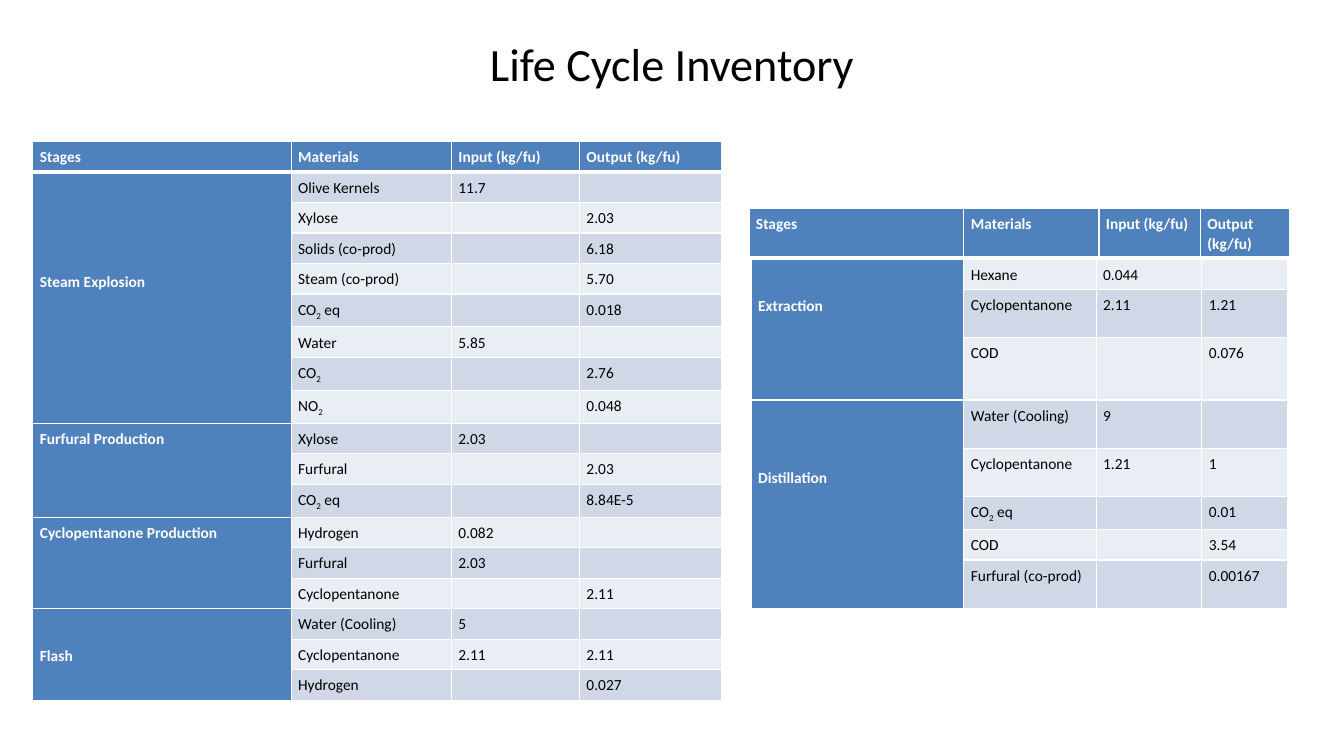
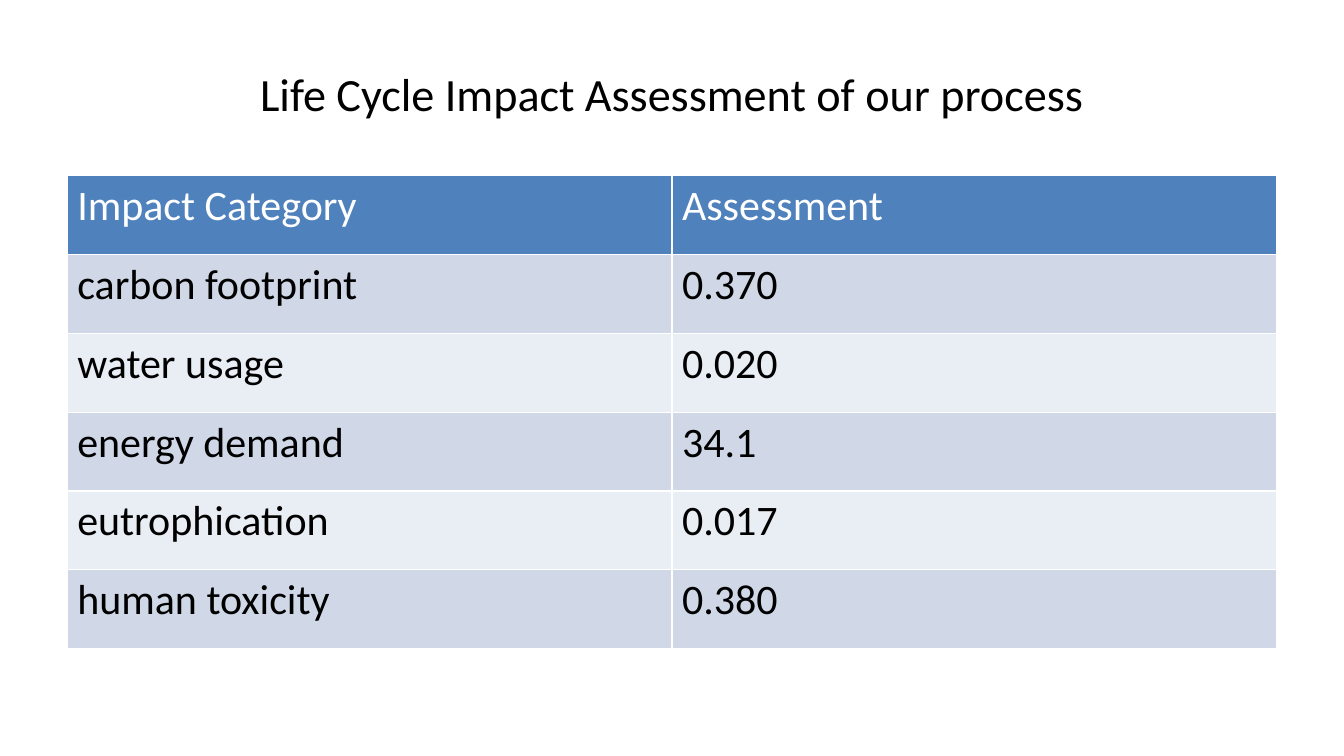
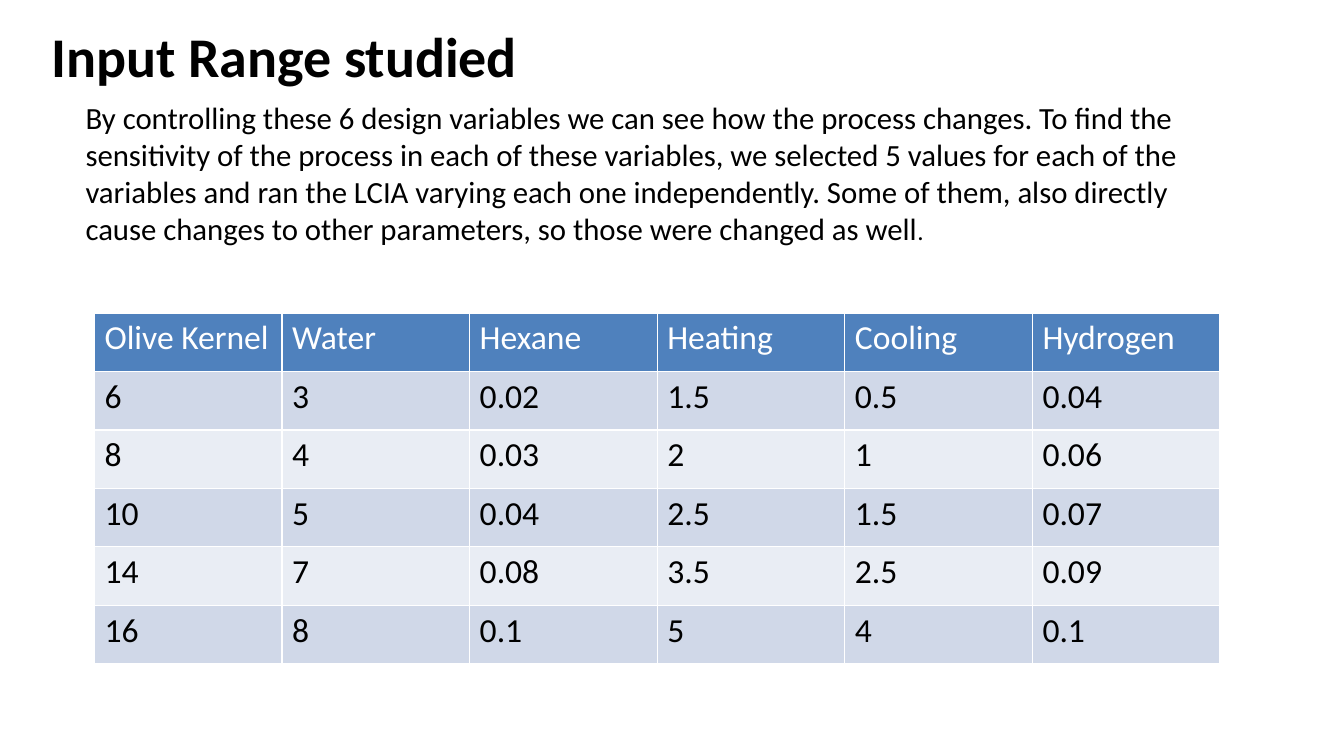
from dataclasses import dataclass

from lxml.etree import SubElement
from pptx import Presentation
from pptx.dml.color import RGBColor
from pptx.enum.text import MSO_ANCHOR, PP_ALIGN
from pptx.oxml.ns import qn
from pptx.slide import Slide
from pptx.table import Table, _Cell
from pptx.text.text import TextFrame
from pptx.util import Pt

FONT = "Calibri"
BLACK = RGBColor(0x00, 0x00, 0x00)
WHITE = RGBColor(0xFF, 0xFF, 0xFF)
BLUE = RGBColor(0x4F, 0x81, 0xBD)
BANDS = (RGBColor(0xD0, 0xD8, 0xE8), RGBColor(0xE9, 0xED, 0xF4))

THIN, THICK = 0.96, 3
ROW, SUBSCRIPT_ROW = 21.8, 23.5
STAGE_LINE = 22.4


@dataclass(frozen=True)
class Style:
    size: float
    margin_x: float = 7.2
    bold_heads: bool = False
    line_spacing: float = 1.0
    header_rule: float = THIN


@dataclass(frozen=True)
class Grid:
    left: float
    top: float
    widths: list[float]
    heights: list[float]
    rows: list[tuple[str, ...]]
    style: Style
    header: bool = True
    stages: bool = False
    first_band: int = 0


INVENTORY = Style(11, margin_x=5, bold_heads=True, line_spacing=1.07, header_rule=THICK)

HEADINGS = ("Stages", "Materials", "Input (kg/fu)", "Output (kg/fu)")

# A row with an empty first cell belongs to the stage above it.
PRODUCTION = [
    HEADINGS,
    ("Steam Explosion", "Olive Kernels", "11.7", ""),
    ("", "Xylose", "", "2.03"),
    ("", "Solids (co-prod)", "", "6.18"),
    ("", "Steam (co-prod)", "", "5.70"),
    ("", "CO₂ eq", "", "0.018"),
    ("", "Water", "5.85", ""),
    ("", "CO₂", "", "2.76"),
    ("", "NO₂", "", "0.048"),
    ("Furfural Production", "Xylose", "2.03", ""),
    ("", "Furfural", "", "2.03"),
    ("", "CO₂ eq", "", "8.84E-5"),
    ("Cyclopentanone Production", "Hydrogen", "0.082", ""),
    ("", "Furfural", "2.03", ""),
    ("", "Cyclopentanone", "", "2.11"),
    ("Flash", "Water (Cooling)", "5", ""),
    ("", "Cyclopentanone", "2.11", "2.11"),
    ("", "Hydrogen", "", "0.027"),
]

SEPARATION = [
    ("Extraction", "Hexane", "0.044", ""),
    ("", "Cyclopentanone", "2.11", "1.21"),
    ("", "COD", "", "0.076"),
    ("Distillation", "Water (Cooling)", "9", ""),
    ("", "Cyclopentanone", "1.21", "1"),
    ("", "CO₂ eq", "", "0.01"),
    ("", "COD", "", "3.54"),
    ("", "Furfural (co-prod)", "", "0.00167"),
]

# Lines by which a stage name is lowered inside its merged cell.
STAGE_DROP = {"Steam Explosion": 3, "Flash": 1, "Extraction": 1, "Distillation": 2}

IMPACTS = [
    ("Impact Category", "Assessment"),
    ("carbon footprint", "0.370"),
    ("water usage", "0.020"),
    ("energy demand", "34.1"),
    ("eutrophication", "0.017"),
    ("human toxicity", "0.380"),
]

RANGES = [
    ("Olive Kernel", "Water", "Hexane", "Heating", "Cooling", "Hydrogen"),
    ("6", "3", "0.02", "1.5", "0.5", "0.04"),
    ("8", "4", "0.03", "2", "1", "0.06"),
    ("10", "5", "0.04", "2.5", "1.5", "0.07"),
    ("14", "7", "0.08", "3.5", "2.5", "0.09"),
    ("16", "8", "0.1", "5", "4", "0.1"),
]

RANGE_TEXT = (
    "By controlling these 6 design variables we can see how the process changes. "
    "To find the sensitivity of the process in each of these variables, we selected "
    "5 values for each of the variables and ran the LCIA varying each one "
    "independently. Some of them, also directly cause changes to other parameters, "
    "so those were changed as well"
)


def add_text(s: Slide, box: tuple[float, float, float, float], text: str, size: float,
             bold: bool = False, align: PP_ALIGN = PP_ALIGN.LEFT,
             anchor: MSO_ANCHOR = MSO_ANCHOR.TOP) -> TextFrame:
    tf = s.shapes.add_textbox(*map(Pt, box)).text_frame
    tf.word_wrap = True
    tf.vertical_anchor = anchor
    p = tf.paragraphs[0]
    p.alignment = align
    p.font.name, p.font.size, p.font.bold = FONT, Pt(size), bold
    p.font.color.rgb = BLACK
    p.add_run().text = text
    return tf


def add_centred_title(s: Slide, top: float, text: str) -> None:
    add_text(s, (48, top, 864, 90), text, 33, align=PP_ALIGN.CENTER,
             anchor=MSO_ANCHOR.MIDDLE)


def set_borders(cell: _Cell, bottom: float) -> None:
    tc_pr = cell._tc.get_or_add_tcPr()
    for side, width in (("L", THIN), ("R", THIN), ("T", THIN), ("B", bottom)):
        ln = SubElement(tc_pr, qn(f"a:ln{side}"), w=str(Pt(width)))
        SubElement(SubElement(ln, qn("a:solidFill")), qn("a:srgbClr"), val=str(WHITE))


def fill_cell(cell: _Cell, text: str, style: Style, fill: RGBColor, bottom: float) -> None:
    """Write the text, with any ₂ as a lowered 2, and style the cell."""
    is_head = fill == BLUE
    set_borders(cell, bottom)
    cell.fill.solid()
    cell.fill.fore_color.rgb = fill
    cell.margin_left = cell.margin_right = Pt(style.margin_x)
    p = cell.text_frame.paragraphs[0]
    p.line_spacing = style.line_spacing
    p.font.name, p.font.size = FONT, Pt(style.size)
    p.font.bold = is_head and style.bold_heads
    p.font.color.rgb = WHITE if is_head else BLACK
    before, subscript, after = text.partition("₂")
    for part in filter(None, (before, subscript, after)):
        r = p.add_run()
        r.text = "2" if part == "₂" else part
        if part == "₂":
            r._r.get_or_add_rPr().set("baseline", "-25000")


def merge_stages(table: Table, grid: Grid) -> None:
    starts = [i for i, row in enumerate(grid.rows) if row[0] and not (grid.header and i == 0)]
    for start, end in zip(starts, starts[1:] + [len(grid.rows)]):
        cell = table.cell(start, 0)
        cell.merge(table.cell(end - 1, 0))
        cell.margin_top = Pt(3.6 + STAGE_LINE * STAGE_DROP.get(grid.rows[start][0], 0))


def add_grid(s: Slide, grid: Grid) -> None:
    frame = s.shapes.add_table(len(grid.rows), len(grid.widths), Pt(grid.left), Pt(grid.top),
                               Pt(sum(grid.widths)), Pt(sum(grid.heights)))
    table = frame.table
    table.first_row = table.horz_banding = False
    for column, width in zip(table.columns, grid.widths):
        column.width = Pt(width)
    for i, (row, height) in enumerate(zip(grid.rows, grid.heights)):
        table.rows[i].height = Pt(height)
        is_header = grid.header and i == 0
        band = BANDS[(i - grid.header + grid.first_band) % 2]
        for j, text in enumerate(row):
            fill = BLUE if is_header or (grid.stages and j == 0) else band
            bottom = grid.style.header_rule if is_header else THIN
            fill_cell(table.cell(i, j), text, grid.style, fill, bottom)
    if grid.stages:
        merge_stages(table, grid)


def build_inventory(s: Slide) -> None:
    add_centred_title(s, 0, "Life Cycle Inventory")
    heights = [SUBSCRIPT_ROW if "₂" in row[1] else ROW for row in PRODUCTION]
    add_grid(s, Grid(23.5, 101, [184.5, 114.5, 91.5, 101.5], heights, PRODUCTION,
                     INVENTORY, stages=True))
    add_grid(s, Grid(536.5, 185, [152, 94.5, 75.5, 61.5],
                     [ROW, 34.5, 44.5, 34.5, 34.5, SUBSCRIPT_ROW, ROW, 34.5], SEPARATION,
                     INVENTORY, header=False, stages=True, first_band=1))
    add_grid(s, Grid(535, 148.5, [153.5, 96.5, 72.5, 63.5], [36], [HEADINGS], INVENTORY))


def build_impacts(s: Slide) -> None:
    add_centred_title(s, 21.5, "Life Cycle Impact Assessment of our process")
    add_grid(s, Grid(48, 125.5, [432] * 2, [56.3] * len(IMPACTS), IMPACTS, Style(30)))


def build_ranges(s: Slide) -> None:
    add_text(s, (29.5, 17.5, 824, 49.5), "Input Range studied", 40, bold=True,
             anchor=MSO_ANCHOR.BOTTOM)
    p = add_text(s, (54, 67, 799, 130), RANGE_TEXT, 22).paragraphs[0]
    p.space_before = Pt(2.1)
    r = p.add_run()
    r.text = "."
    r.font.size = Pt(18)
    add_grid(s, Grid(67.5, 223.5, [134] * 6, [41.8] * len(RANGES), RANGES, Style(24)))


def main() -> None:
    prs = Presentation()
    prs.slide_width, prs.slide_height = Pt(960), Pt(540)
    for build in (build_inventory, build_impacts, build_ranges):
        build(prs.slides.add_slide(prs.slide_layouts[6]))
    prs.save("out.pptx")


if __name__ == "__main__":
    main()
